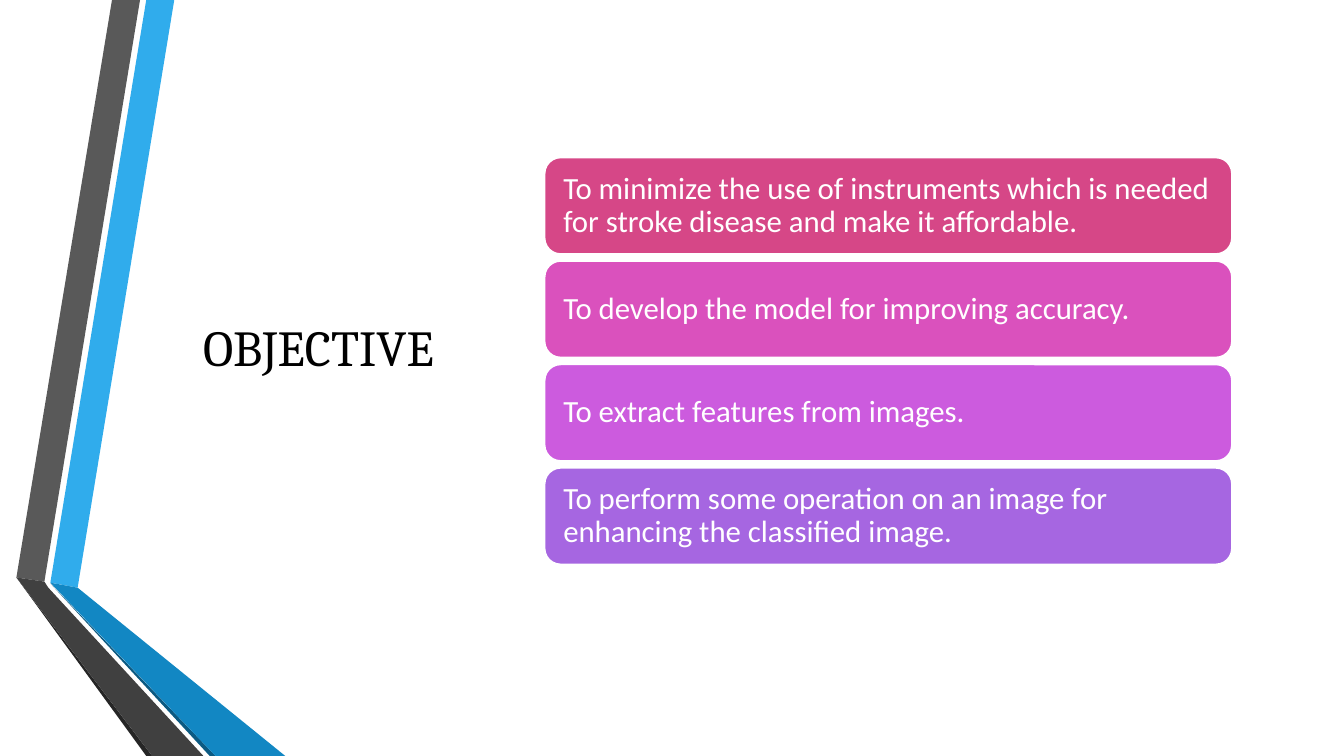
from dataclasses import dataclass

from pptx import Presentation
from pptx.dml.color import RGBColor
from pptx.enum import shapes, text
from pptx.util import Pt


@dataclass(frozen=True)
class Ribbon:
    color: str
    points: tuple[tuple[float, float], ...]


@dataclass(frozen=True)
class Objective:
    color: str
    wording: str


RIBBONS = (
    Ribbon("30ACEC", ((36, 416.2), (55.5, 419.8), (124.5, 0), (104.5, 0))),
    Ribbon("595959", ((100, 0), (80, 0), (11.7, 412.5), (31.7, 415.5))),
    Ribbon("262626", ((11.7, 412.5), (104.5, 540), (108.7, 540))),
    Ribbon("0C5A82", ((36, 416.8), (149.8, 540), (154, 540))),
    Ribbon("1287C3", ((36, 416.2), (154, 540), (203.8, 540), (55.5, 419.8))),
    Ribbon("404040", ((145.3, 540), (34.5, 419.8), (31.7, 415.5), (11.7, 412.5), (108.7, 540))),
)

OBJECTIVES = (
    Objective("D64787", "To minimize the use of instruments which is needed for stroke disease and make it affordable."),
    Objective("DA51BD", "To develop the model for improving accuracy."),
    Objective("CC5BDE", "To extract features from images."),
    Objective("A666E1", "To perform some operation on an image for enhancing the classified image."),
)

CARD_LEFT, CARD_TOP = 389, 112.5
CARD_WIDTH, CARD_HEIGHT = 491, 69
CARD_PITCH = 73.9
CARD_INSET = 10


def paint(target, color: str) -> None:
    target.solid()
    target.fore_color.rgb = RGBColor.from_string(color)


def write(box, wording: str, font: str, size: float, color: str, align: text.PP_ALIGN):
    frame = box.text_frame
    frame.word_wrap = True
    frame.vertical_anchor = text.MSO_ANCHOR.MIDDLE
    para = frame.paragraphs[0]
    para.alignment = align
    span = para.add_run()
    span.text = wording
    span.font.name = font
    span.font.size = Pt(size)
    paint(span.font.fill, color)
    return para


def draw_ribbon(page, ribbon: Ribbon) -> None:
    start, *rest = [(Pt(x), Pt(y)) for x, y in ribbon.points]
    builder = page.shapes.build_freeform(*start)
    builder.add_line_segments(rest, close=True)
    shape = builder.convert_to_shape()
    shape.shadow.inherit = False
    paint(shape.fill, ribbon.color)
    shape.line.fill.background()


def draw_title(page) -> None:
    box = page.shapes.add_textbox(Pt(116.6), Pt(100.8), Pt(221.8), Pt(293))
    write(box, "OBJECTIVE", "Cambria", 36, "000000", text.PP_ALIGN.CENTER)


def draw_card(page, objective: Objective, row: int) -> None:
    card = page.shapes.add_shape(
        shapes.MSO_SHAPE.ROUNDED_RECTANGLE,
        Pt(CARD_LEFT), Pt(CARD_TOP + row * CARD_PITCH), Pt(CARD_WIDTH), Pt(CARD_HEIGHT),
    )
    card.shadow.inherit = False
    paint(card.fill, objective.color)
    paint(card.line.fill, "FFFFFF")
    card.line.width = Pt(1.25)
    frame = card.text_frame
    frame.margin_left = frame.margin_right = Pt(CARD_INSET)
    frame.margin_top = frame.margin_bottom = Pt(CARD_INSET)
    para = write(card, objective.wording, "Calibri", 22, "FFFFFF", text.PP_ALIGN.LEFT)
    para.line_spacing = 0.9


def main() -> None:
    deck = Presentation()
    deck.slide_width, deck.slide_height = Pt(960), Pt(540)
    page = deck.slides.add_slide(deck.slide_layouts[6])
    paint(page.background.fill, "FFFFFF")
    for ribbon in RIBBONS:
        draw_ribbon(page, ribbon)
    draw_title(page)
    for row, objective in enumerate(OBJECTIVES):
        draw_card(page, objective, row)
    deck.save("out.pptx")


if __name__ == "__main__":
    main()
